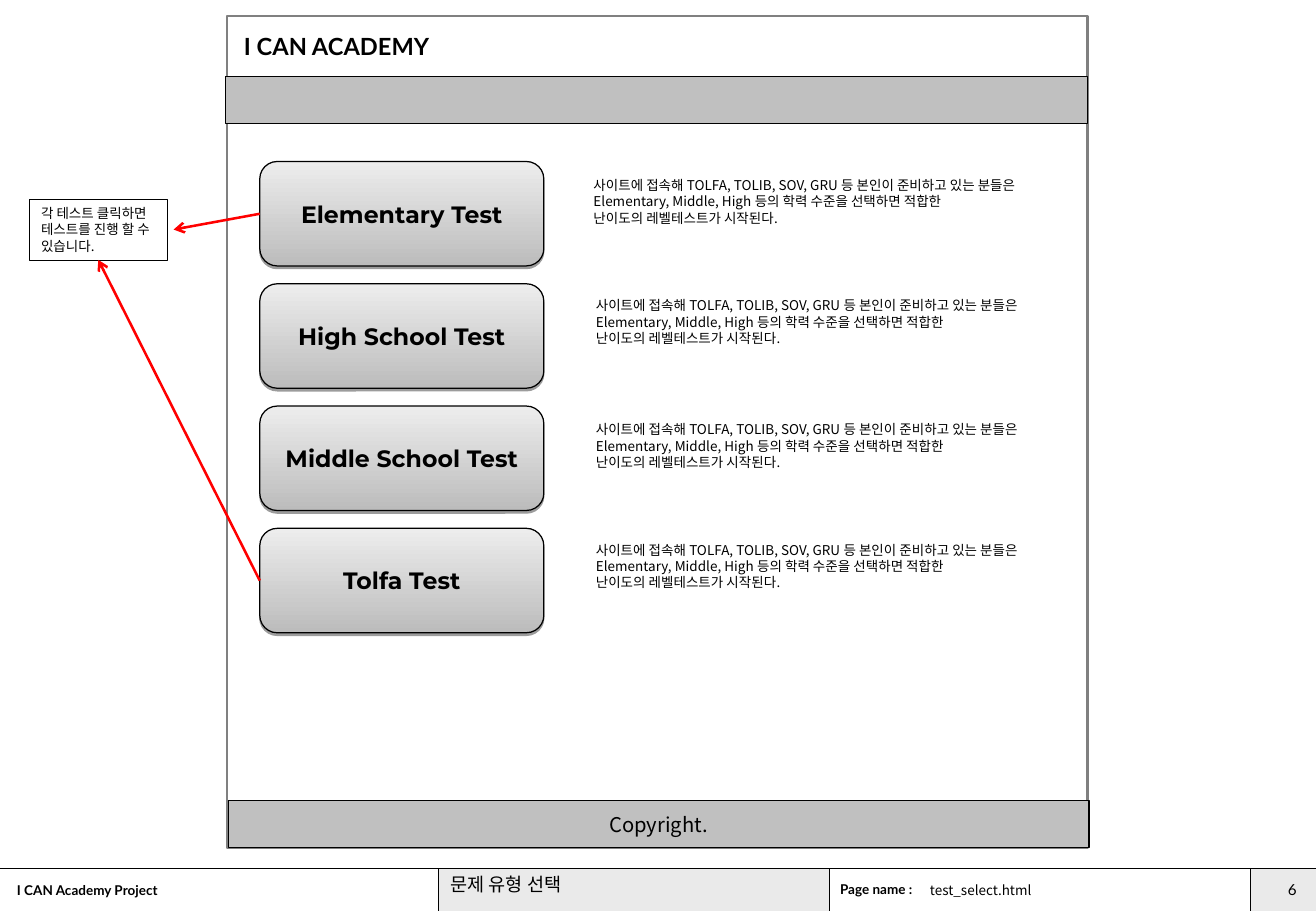
from lxml import etree
from pptx import Presentation
from pptx.dml.color import RGBColor
from pptx.enum import shapes as kinds, text as modes
from pptx.oxml import ns
from pptx.util import Inches, Pt

COLORS = {"ink": "000000", "frame": "808080", "bar": "C0C0C0", "footer": "EAEAEA",
          "dark": "BCBCBC", "light": "EDEDED", "arrow": "FF0000"}
LATO, MONTSERRAT, NOTO = "Lato", "Montserrat", "Noto Sans CJK KR"
LEFT, CENTER, RIGHT = modes.PP_ALIGN.LEFT, modes.PP_ALIGN.CENTER, modes.PP_ALIGN.RIGHT
TOP, MIDDLE = modes.MSO_ANCHOR.TOP, modes.MSO_ANCHOR.MIDDLE

SCREEN_TITLE = "문제 유형 선택"
DESCRIPTION = ["사이트에 접속해 TOLFA, TOLIB, SOV, GRU 등 본인이 준비하고 있는 분들은",
               "Elementary, Middle, High 등의 학력 수준을 선택하면 적합한",
               "난이도의 레벨테스트가 시작된다."]
CALLOUT = ["각 테스트 클릭하면", "테스트를 진행 할 수", "있습니다."]
# button label, left and top of its description
TESTS = [("Elementary Test", 4.79, 1.41), ("High School Test", 4.81, 2.4),
         ("Middle School Test", 4.81, 3.42), ("Tolfa Test", 4.81, 4.41)]
FIRST_TOP, LAST_TOP = 1.33, 4.35
FOOTER_TOP, SLIDE_WIDTH, SLIDE_HEIGHT = 7.15, 10.84, 7.5
FOOTER_CELLS = [(10.3, 0.54), (3.61, 3.22)]
FOOTER_RULES = [(3.61, 0.25), (6.83, 0.25), (10.3, 0.75)]
# lines, box, font, size, extra format
LABELS = [
    (["I CAN Academy Project"], (0.03, 7.21, 2.3, 0.24), LATO, 8, {"bold": True, "inset": 0.11}),
    (["Page name :"], (6.81, 7.2, 0.89, 0.24), LATO, 8,
     {"bold": True, "inset": 0.11, "wrap": False}),
    (["6"], (10.34, 7.2, 0.45, 0.28), LATO, 9, {"align": RIGHT, "inset": 0.11}),
    (["test_select.html"], (7.62, 7.21, 2.6, 0.24), NOTO, 8, {"inset": 0.04}),
    (["I CAN ACADEMY"], (1.97, 0.21, 1.63, 0.34), LATO, 14,
     {"bold": True, "inset": 0.04, "wrap": False}),
]

prs = Presentation()
prs.slide_width, prs.slide_height = Inches(SLIDE_WIDTH), Inches(SLIDE_HEIGHT)
slide = prs.slides.add_slide(prs.slide_layouts[5])


def rgb(name):
    return RGBColor.from_string(COLORS[name])


def write(shape, lines, font, size, bold=False, align=LEFT, anchor=TOP, inset=0.1, wrap=True):
    frame = shape.text_frame
    margins = {"margin_left": inset, "margin_right": inset,
               "margin_top": 0.05, "margin_bottom": 0.05}
    for side, inches in margins.items():
        setattr(frame, side, Inches(inches))
    frame.auto_size = modes.MSO_AUTO_SIZE.NONE
    frame.word_wrap, frame.vertical_anchor = wrap, anchor
    for number, line in enumerate(lines):
        paragraph = frame.add_paragraph() if number else frame.paragraphs[0]
        paragraph.alignment, paragraph.line_spacing = align, Pt(size * 1.2)
        run = paragraph.add_run()
        run.text = line
        for key, value in {"name": font, "size": Pt(size), "bold": bold}.items():
            setattr(run.font, key, value)
        run.font.color.rgb = rgb("ink")
        east_asian = etree.SubElement(run.font._element, ns.qn("a:ea"))
        east_asian.set("typeface", font)


def add_box(box, fill=None, line=None, width=0.75, kind=kinds.MSO_SHAPE.RECTANGLE):
    shape = slide.shapes.add_shape(kind, *map(Inches, box))
    shape.shadow.inherit = False
    if fill:
        shape.fill.solid()
        shape.fill.fore_color.rgb = rgb(fill)
    else:
        shape.fill.background()
    if line:
        shape.line.color.rgb, shape.line.width = rgb(line), Pt(width)
    else:
        shape.line.fill.background()
    return shape


def add_label(lines, box, font, size, form):
    write(slide.shapes.add_textbox(*map(Inches, box)), lines, font, size, **form)


def add_line(start, end, color="ink", width=0.75):
    line = slide.shapes.add_connector(kinds.MSO_CONNECTOR.STRAIGHT,
                                      *map(Inches, start + end))
    line.line.color.rgb, line.line.width = rgb(color), Pt(width)
    etree.SubElement(line._element.spPr, ns.qn("a:effectLst"))
    return line


def add_arrow(button, start, end):
    """Red arrow that leaves the left side of a button."""
    arrow = add_line(start, end, "arrow", 1.5)
    arrow.begin_connect(button, 1)
    etree.SubElement(arrow.line._get_or_add_ln(), ns.qn("a:tailEnd"), type="arrow")
    return arrow


def add_button(label, top):
    button = add_box((2.14, top, 2.34, 0.86), line="ink",
                     kind=kinds.MSO_SHAPE.ROUNDED_RECTANGLE)
    button.fill.gradient()
    button.fill.gradient_angle = 90
    for stop, color in zip(button.fill.gradient_stops, ("dark", "light")):
        stop.color.rgb = rgb(color)
    effects = button._element.spPr.find(ns.qn("a:effectLst"))
    shadow = etree.SubElement(effects, ns.qn("a:outerShdw"), blurRad="0", dist="20320",
                              dir="5400000", rotWithShape="0")
    tone = etree.SubElement(shadow, ns.qn("a:srgbClr"), val=COLORS["ink"])
    etree.SubElement(tone, ns.qn("a:alpha"), val="38000")
    write(button, [label], MONTSERRAT, 14, bold=True, align=CENTER, anchor=MIDDLE)
    return button


# Footer and screen frame
for left, width in FOOTER_CELLS:
    add_box((left, FOOTER_TOP, width, SLIDE_HEIGHT - FOOTER_TOP), "footer")
add_line((0, FOOTER_TOP), (SLIDE_WIDTH, FOOTER_TOP))
for left, width in FOOTER_RULES:
    add_line((left, FOOTER_TOP), (left, SLIDE_HEIGHT), width=width)

title = slide.shapes.title
for side, inches in {"left": 3.61, "top": 7.14, "width": 3.23, "height": 0.36}.items():
    setattr(title, side, Inches(inches))
write(title, [SCREEN_TITLE], NOTO, 11)
title.element.getparent().append(title.element)  # in front of its footer cell

add_box((1.87, 0.13, 7.09, 6.85), line="frame", width=1.5)
for label in LABELS:
    add_label(*label)
add_box((1.86, 0.63, 7.1, 0.39), "bar", "ink")
copyright_bar = add_box((1.88, 6.59, 7.09, 0.39), "bar", "ink")
write(copyright_bar, ["Copyright."], NOTO, 12, align=CENTER, anchor=MIDDLE, wrap=False)

# Tests and the note that points at them
pitch = (LAST_TOP - FIRST_TOP) / (len(TESTS) - 1)
buttons = [add_button(label, FIRST_TOP + row * pitch)
           for row, (label, _, _) in enumerate(TESTS)]
for _, left, top in TESTS:
    add_label(DESCRIPTION, (left, top, 3.75, 0.5), NOTO, 8, {"wrap": False})

callout = add_box((0.24, 1.64, 1.14, 0.5), line="ink", width=0.25)
write(callout, CALLOUT, NOTO, 8, wrap=False)
add_arrow(buttons[0], (2.14, 1.76), (1.43, 1.89))
add_arrow(buttons[-1], (2.14, 4.78), (0.81, 2.14)).end_connect(callout, 2)

prs.save("out.pptx")
